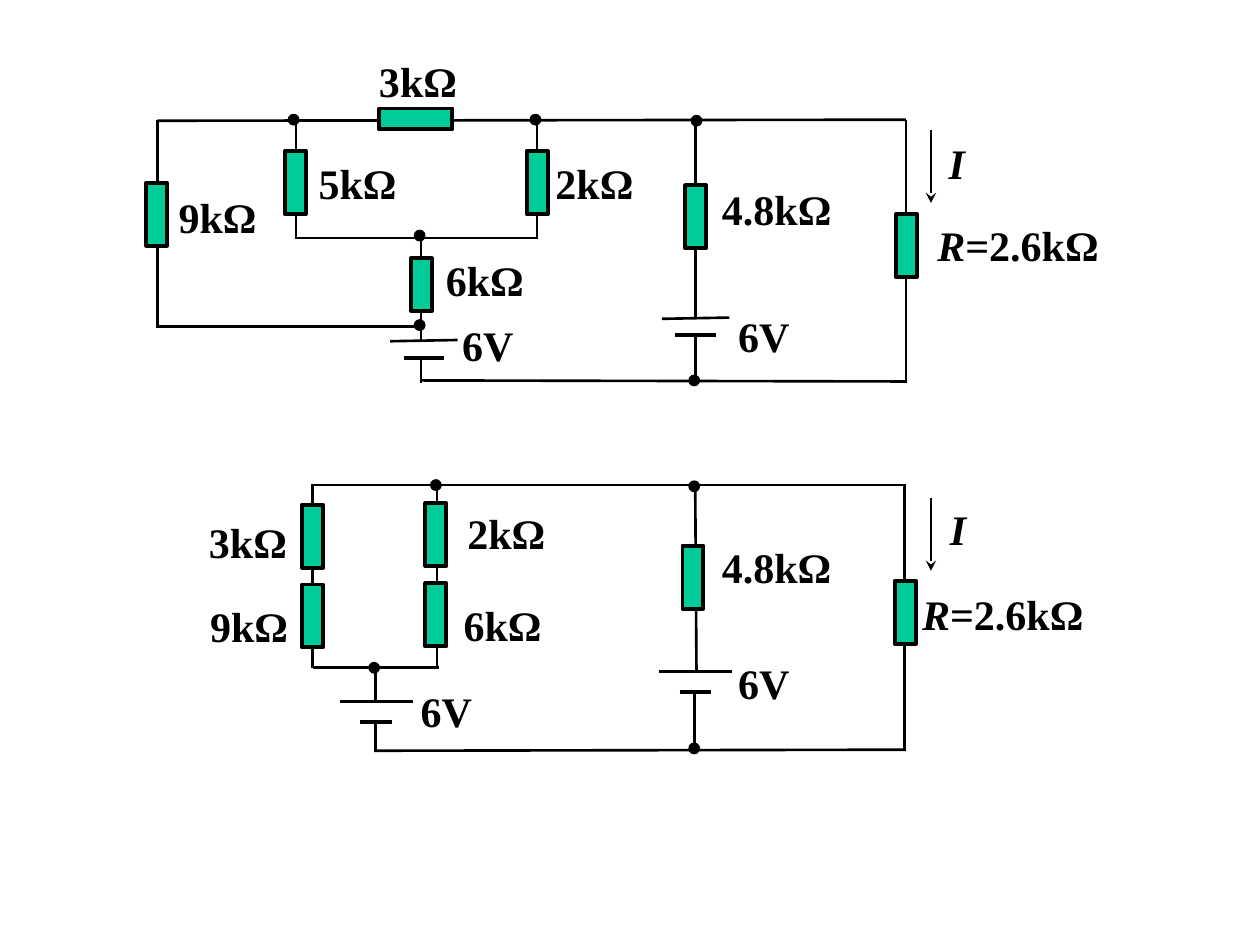
from typing import NamedTuple

from lxml.etree import SubElement
from pptx import Presentation
from pptx.dml.color import RGBColor
from pptx.enum.shapes import MSO_CONNECTOR, MSO_SHAPE
from pptx.enum.text import MSO_AUTO_SIZE
from pptx.oxml.ns import qn
from pptx.util import Pt

INK = "000000"
RESISTOR_FILL = "00CC99"
FONT = "Times New Roman"


class Wire(NamedTuple):
    x1: float
    y1: float
    x2: float
    y2: float
    weight: float = 1.5
    arrow: bool = False


class Resistor(NamedTuple):
    center_x: float
    center_y: float
    width: float = 12
    height: float = 36


class Node(NamedTuple):
    center_x: float
    center_y: float


class Battery(NamedTuple):
    center_x: float
    long_y: float
    short_y: float
    long_half: float
    short_half: float
    tilt: float = 0


class Label(NamedTuple):
    left: float
    top: float
    width: float
    text: str
    symbol: str = ""  # italic part in front of the text


class Circuit(NamedTuple):
    wires: list[Wire]
    resistors: list[Resistor]
    batteries: list[Battery]
    nodes: list[Node]
    labels: list[Label]


def color(value: str) -> RGBColor:
    return RGBColor.from_string(value)


def draw_wire(shapes, wire: Wire) -> None:
    line = shapes.add_connector(MSO_CONNECTOR.STRAIGHT, Pt(wire.x1), Pt(wire.y1),
                                Pt(wire.x2), Pt(wire.y2))
    line.line.color.rgb = color(INK)
    line.line.width = Pt(wire.weight)
    if wire.arrow:
        SubElement(line.line._get_or_add_ln(), qn("a:tailEnd"), type="stealth")
    SubElement(line._element.spPr, qn("a:effectLst"))


def draw_centered(shapes, kind: MSO_SHAPE, center_x: float, center_y: float,
                  width: float, height: float, fill: str, weight: float) -> None:
    shape = shapes.add_shape(kind, Pt(center_x - width / 2), Pt(center_y - height / 2),
                             Pt(width), Pt(height))
    shape.shadow.inherit = False
    shape.fill.solid()
    shape.fill.fore_color.rgb = color(fill)
    shape.line.color.rgb = color(INK)
    shape.line.width = Pt(weight)


def draw_battery(shapes, battery: Battery) -> None:
    x, long_half, short_half = battery.center_x, battery.long_half, battery.short_half
    draw_wire(shapes, Wire(x - long_half, battery.long_y, x + long_half,
                           battery.long_y - battery.tilt))
    draw_wire(shapes, Wire(x - short_half, battery.short_y, x + short_half,
                           battery.short_y, 2.25))


def draw_label(shapes, label: Label) -> None:
    box = shapes.add_textbox(Pt(label.left), Pt(label.top), Pt(label.width), Pt(36))
    box.text_frame.word_wrap = True
    box.text_frame.auto_size = MSO_AUTO_SIZE.SHAPE_TO_FIT_TEXT
    para = box.text_frame.paragraphs[0]
    para.font.name = FONT
    para.font.size = Pt(24)
    para.font.bold = True
    para.font.color.rgb = color(INK)
    for text, italic in ((label.symbol, True), (label.text, False)):
        if text:
            span = para.add_run()
            span.text = text
            span.font.italic = italic


def draw_circuit(page, circuit: Circuit) -> None:
    shapes = page.shapes.add_group_shape().shapes
    for wire in circuit.wires:
        draw_wire(shapes, wire)
    for resistor in circuit.resistors:
        draw_centered(shapes, MSO_SHAPE.RECTANGLE, *resistor, RESISTOR_FILL, 2.25)
    for battery in circuit.batteries:
        draw_battery(shapes, battery)
    for node in circuit.nodes:
        draw_centered(shapes, MSO_SHAPE.OVAL, *node, 6, 6, INK, 0.75)
    for label in circuit.labels:
        draw_label(shapes, label)


# Upper circuit: bridge of resistors beside two source branches
BRIDGE = Circuit(
    wires=[
        Wire(90, 69, 517.7, 68.4), Wire(90, 68.4, 90, 187.2),
        Wire(169.2, 68.4, 169.2, 135.4), Wire(306.8, 68.4, 306.8, 136),
        Wire(168.5, 136, 307.5, 136), Wire(240.5, 136, 240.5, 195),
        Wire(239, 186.5, 90, 186.5), Wire(240.5, 204.5, 240.5, 218.8),
        Wire(397.5, 70.6, 397.5, 182), Wire(397.5, 191, 397.5, 218),
        Wire(517.7, 68.4, 517.7, 218), Wire(241.2, 217.4, 518.4, 218),
        Wire(532, 74.2, 532, 116, arrow=True),
    ],
    resistors=[
        Resistor(89.6, 122.4), Resistor(168.8, 104.4), Resistor(237.6, 68, 42, 12),
        Resistor(307, 104.4), Resistor(240.8, 162.7, 12, 30), Resistor(518, 140.4),
        Resistor(397.5, 123.8),
    ],
    batteries=[Battery(242.2, 195, 204.5, 19.3, 11.5, 0.7),
               Battery(397.5, 182.2, 191.5, 19.3, 11.5, 0.7)],
    nodes=[
        Node(167.8, 68.4), Node(306, 68.4), Node(398, 69), Node(239.8, 134.6),
        Node(239.8, 185.8), Node(396.7, 217.4),
    ],
    labels=[
        Label(95, 105.8, 66, "9kΩ"), Label(175, 86.4, 67, "5kΩ"),
        Label(209.5, 28, 67, "3kΩ"), Label(310.3, 86.4, 67.7, "2kΩ"),
        Label(247.7, 141.8, 64, "6kΩ"), Label(405.4, 101.5, 78.5, "4.8kΩ"),
        Label(528.5, 121.7, 120, "=2.6kΩ", "R"), Label(535, 75, 31.7, "", "I"),
        Label(257, 179.3, 46.8, "6V"), Label(414.7, 174.2, 59.8, "6V"),
    ],
)

# Lower circuit: the bridge reduced to two series pairs
REDUCED = Circuit(
    wires=[
        Wire(517.7, 277.2, 177.8, 277.2), Wire(178.6, 277.2, 178.6, 381.6),
        Wire(249.8, 277.2, 249.8, 381.6), Wire(178.6, 381.6, 250.6, 381.6),
        Wire(214.6, 381.6, 214.6, 400.5), Wire(214.6, 412, 214.6, 429),
        Wire(397.3, 279.4, 398, 383), Wire(396.7, 395.3, 396.7, 427.7),
        Wire(517, 278, 517, 428.4), Wire(213.8, 429, 517.7, 428.4),
        Wire(532, 284.4, 532, 326.2, arrow=True),
    ],
    resistors=[
        Resistor(178.6, 306.4), Resistor(178.6, 352), Resistor(249.1, 305.6),
        Resistor(249.1, 351.4), Resistor(396, 329.8), Resistor(517.3, 350),
    ],
    batteries=[Battery(215, 401, 412.6, 20.9, 9), Battery(397.3, 383.8, 395.3, 20.9, 9)],
    nodes=[Node(249.1, 277.2), Node(396.7, 277.9), Node(213.8, 381.6), Node(396.7, 427.7)],
    labels=[
        Label(112.3, 291.6, 69.8, "3kΩ"), Label(113, 339.8, 66, "9kΩ"),
        Label(260, 286.6, 69, "2kΩ"), Label(257.8, 339, 66, "6kΩ"),
        Label(405.4, 306, 83.5, "4.8kΩ"), Label(519.8, 332.6, 118, "=2.6kΩ", "R"),
        Label(535.7, 284.4, 38, "", "I"), Label(233.3, 388, 50.4, "6V"),
        Label(414.7, 372.2, 51.8, "6V"),
    ],
)


def main() -> None:
    deck = Presentation()
    deck.slide_width, deck.slide_height = Pt(720), Pt(540)
    page = deck.slides.add_slide(deck.slide_layouts[6])
    for circuit in (BRIDGE, REDUCED):
        draw_circuit(page, circuit)
    deck.save("out.pptx")


if __name__ == "__main__":
    main()
